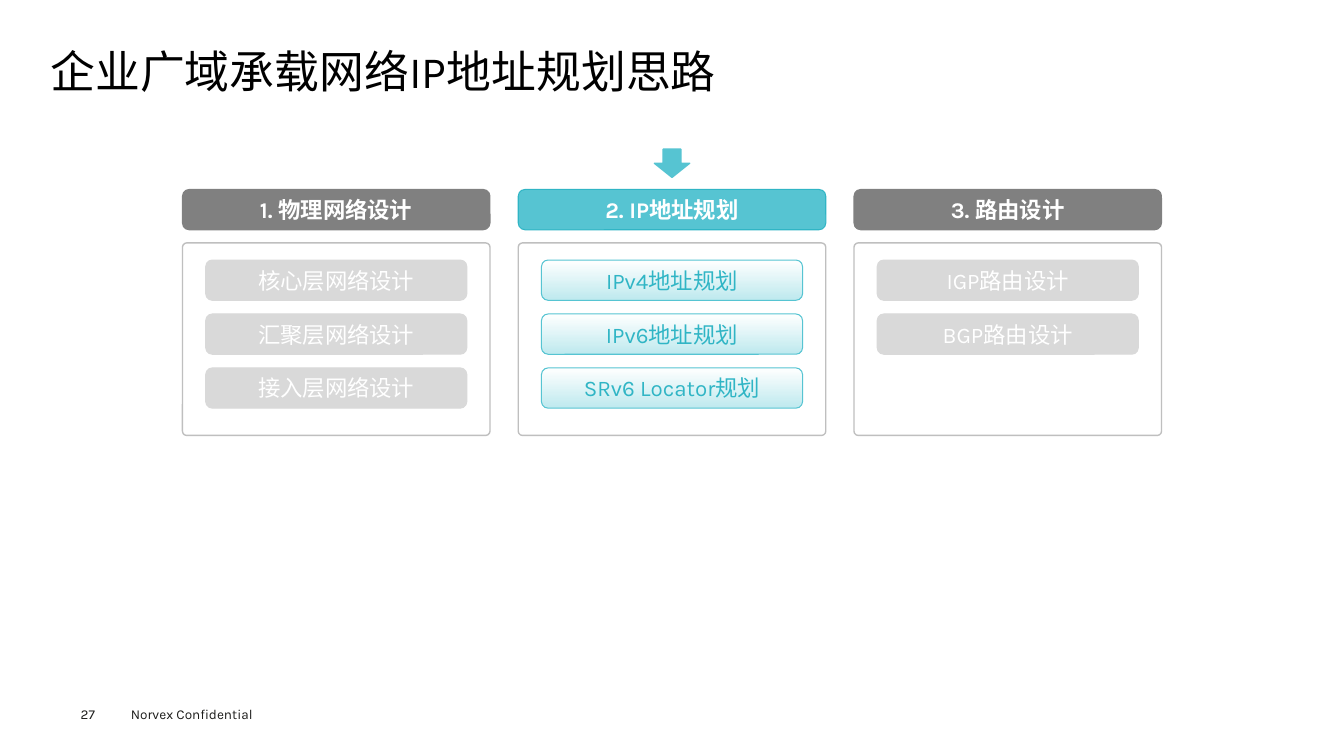
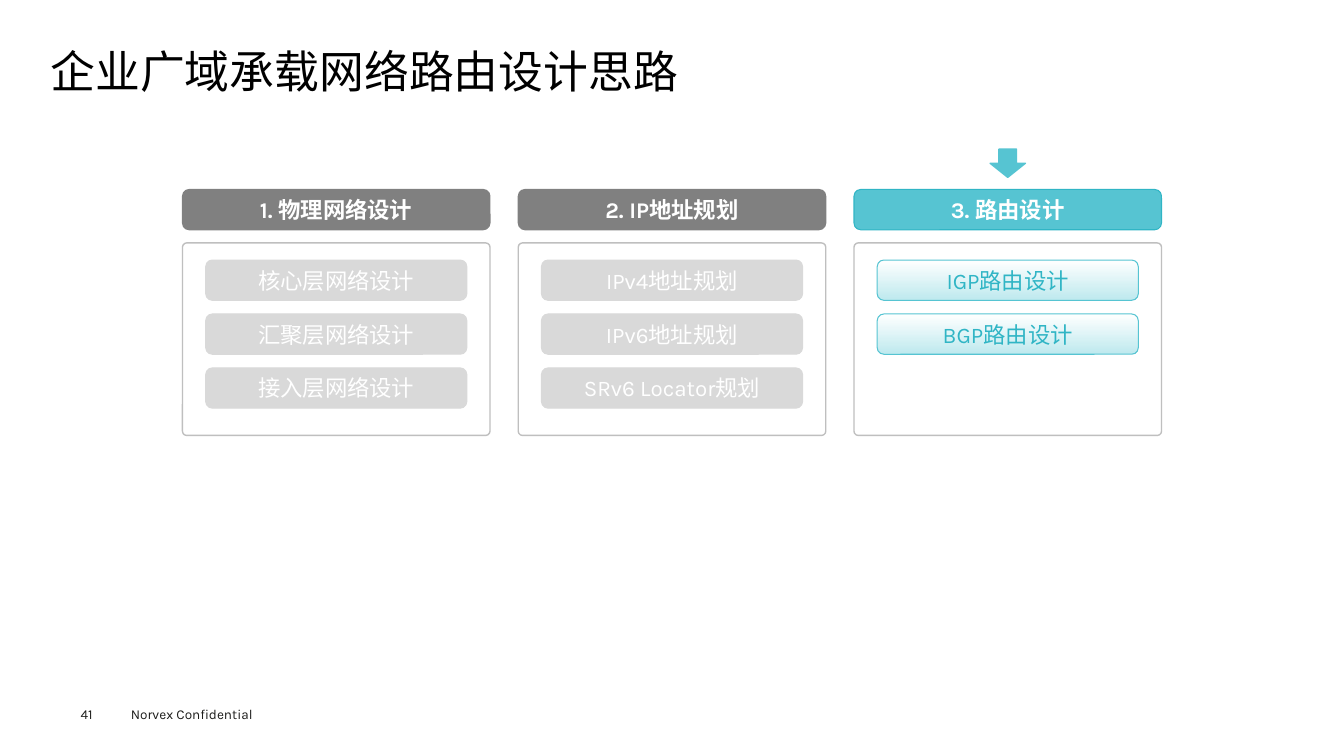
from dataclasses import dataclass

from pptx import Presentation
from pptx.dml.color import RGBColor
from pptx.enum.lang import MSO_LANGUAGE_ID as Language
from pptx.enum.shapes import MSO_SHAPE as Shape
from pptx.enum.text import MSO_ANCHOR as Anchor, MSO_AUTO_SIZE as AutoSize, PP_ALIGN as Align
from pptx.util import Inches, Pt

STAGES = [
    ("1. 物理网络设计", ["核心层网络设计", "汇聚层网络设计", "接入层网络设计"]),
    ("2. IP地址规划", ["IPv4地址规划", "IPv6地址规划", "SRv6 Locator规划"]),
    ("3. 路由设计", ["IGP路由设计", "BGP路由设计"]),
]
# title, page number, index of the current stage
PAGES = [
    ("企业广域承载网络IP地址规划思路", "27", 1),
    ("企业广域承载网络路由设计思路", "41", 2),
]
FOOTER = "Norvex Confidential"


@dataclass(frozen=True)
class Theme:
    font: str = "Karla"
    title_size: float = 32
    box_size: float = 16
    footer_size: float = 9.7
    title: str = "000000"
    footer: str = "1D1D1B"
    white: str = "FFFFFF"
    header: str = "808080"
    item: str = "D9D9D9"
    panel_line: str = "BFBFBF"
    accent: str = "56C4D2"
    accent_dark: str = "30B5C5"
    accent_pale: str = "BEE9EE"


THEME = Theme()

# Grid, in inches
COLUMN_LEFT, COLUMN_WIDTH, COLUMN_PITCH = 1.81, 3.05, 3.33
HEADER_TOP, BOX_HEIGHT = 1.88, 0.4
PANEL_TOP, PANEL_HEIGHT = 2.41, 1.91
ITEM_TOP, ITEM_WIDTH, ITEM_PITCH = 2.58, 2.59, 0.535
ARROW_TOP, ARROW_WIDTH, ARROW_HEIGHT = 1.48, 0.35, 0.28


def rgb(code):
    return RGBColor.from_string(code)


def write(frame, text, size, color, bold=False):
    frame.text = text
    font = frame.paragraphs[0].runs[0].font
    font.name, font.size, font.bold = THEME.font, Pt(size), bold
    font.color.rgb = rgb(color)
    font.language_id = Language.SIMPLIFIED_CHINESE


def clear_margins(frame):
    frame.margin_left = frame.margin_right = frame.margin_top = frame.margin_bottom = 0


def add_box(slide, kind, box, fill, line, width=0.75):
    """Draw a shape; fill is a colour, a (top, bottom) gradient or None."""
    shape = slide.shapes.add_shape(kind, *map(Inches, box))
    shape.shadow.inherit = False
    shape.line.color.rgb = rgb(line)
    shape.line.width = Pt(width)
    if fill is None:
        shape.fill.background()
    elif isinstance(fill, tuple):
        shape.fill.gradient()
        shape.fill.gradient_angle = 270
        for stop, color, position in zip(shape.fill.gradient_stops, fill, (0, 1)):
            stop.color.rgb = rgb(color)
            stop.position = position
    else:
        shape.fill.solid()
        shape.fill.fore_color.rgb = rgb(fill)
    return shape


def add_label(slide, text, box, fill, line, color, bold=False):
    label = add_box(slide, Shape.ROUNDED_RECTANGLE, box, fill, line)
    frame = label.text_frame
    frame.vertical_anchor = Anchor.MIDDLE
    write(frame, text, THEME.box_size, color, bold)
    frame.paragraphs[0].alignment = Align.CENTER


def add_title(slide, text):
    title = slide.shapes.title
    title.left, title.top, title.width, title.height = map(Inches, (0.5, 0.49, 12.35, 0.53))
    frame = title.text_frame
    clear_margins(frame)
    frame.auto_size = AutoSize.NONE
    frame.vertical_anchor = Anchor.TOP
    write(frame, text, THEME.title_size, THEME.title)
    frame.paragraphs[0].alignment = Align.LEFT
    frame.paragraphs[0].line_spacing = 0.9


def add_footer(slide, number):
    notice = slide.shapes.add_textbox(*map(Inches, (1.2, 6.95, 1.6, 0.27))).text_frame
    page = slide.shapes.add_textbox(*map(Inches, (0.8, 7, 0.55, 0.16))).text_frame
    clear_margins(page)
    for frame, text in ((notice, FOOTER), (page, number)):
        frame.word_wrap = True
        write(frame, text, THEME.footer_size, THEME.footer)


def add_stage(slide, column, current):
    name, items = STAGES[column]
    left = COLUMN_LEFT + column * COLUMN_PITCH
    if current:
        header_style = (THEME.accent, THEME.accent_dark)
        item_style = ((THEME.white, THEME.accent_pale), THEME.accent, THEME.accent_dark)
        arrow_left = left + (COLUMN_WIDTH - ARROW_WIDTH) / 2
        add_box(slide, Shape.DOWN_ARROW, (arrow_left, ARROW_TOP, ARROW_WIDTH, ARROW_HEIGHT),
                THEME.accent, THEME.accent, 1)
    else:
        header_style = (THEME.header, THEME.header)
        item_style = (THEME.item, THEME.item, THEME.white)

    add_label(slide, name, (left, HEADER_TOP, COLUMN_WIDTH, BOX_HEIGHT),
              *header_style, THEME.white, bold=True)
    panel = add_box(slide, Shape.ROUNDED_RECTANGLE,
                    (left, PANEL_TOP, COLUMN_WIDTH, PANEL_HEIGHT), None, THEME.panel_line, 1)
    panel.adjustments[0] = 0.022
    item_left = left + (COLUMN_WIDTH - ITEM_WIDTH) / 2
    for row, item in enumerate(items):
        top = ITEM_TOP + row * ITEM_PITCH
        add_label(slide, item, (item_left, top, ITEM_WIDTH, BOX_HEIGHT), *item_style)


def main():
    deck = Presentation()
    deck.slide_width, deck.slide_height = Inches(13.33), Inches(7.5)
    title_only = deck.slide_layouts[5]
    for title, number, current in PAGES:
        slide = deck.slides.add_slide(title_only)
        add_title(slide, title)
        add_footer(slide, number)
        for column in range(len(STAGES)):
            add_stage(slide, column, column == current)
    deck.save("out.pptx")


if __name__ == "__main__":
    main()
